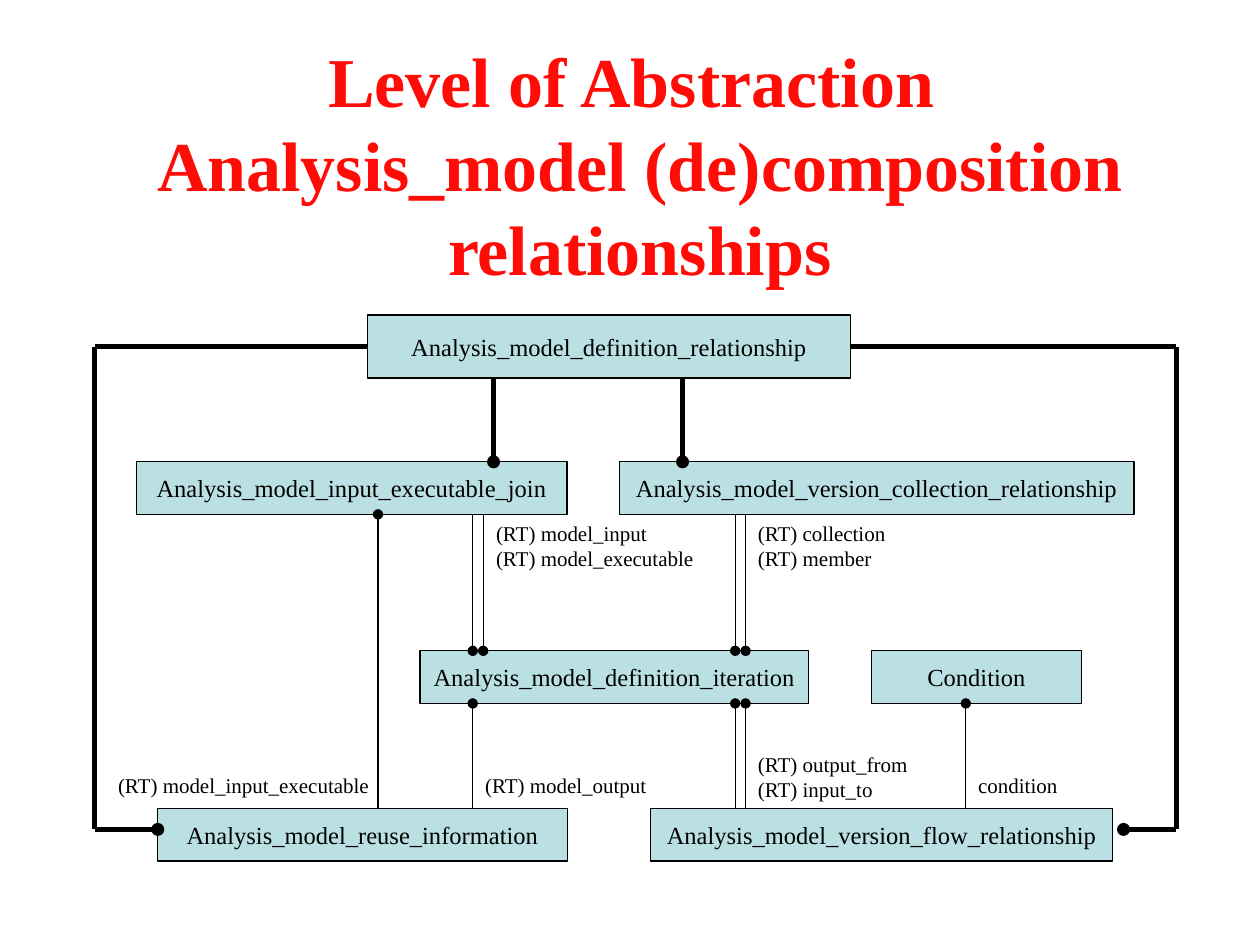
import pptx
import pptx.util
import pptx.dml.color
import pptx.enum.shapes
import pptx.enum.text
from pptx.oxml.ns import qn
from pptx.util import Cm

COLORS = {"title": "FF0C06", "box": "BBE0E3", "ink": "000000"}
FONT = "Times New Roman"
ALIGN = pptx.enum.text.PP_ALIGN
ANCHOR = pptx.enum.text.MSO_ANCHOR
FIT = pptx.enum.text.MSO_AUTO_SIZE


def color(name):
    return pptx.dml.color.RGBColor.from_string(COLORS[name])


def write(shape, text, size, ink, alignment, anchor, fit, bold=False):
    frame = shape.text_frame
    frame.text = text
    frame.word_wrap = False
    frame.auto_size = fit
    frame.vertical_anchor = anchor
    for paragraph in frame.paragraphs:
        paragraph.alignment = alignment
        for run in paragraph.runs:
            run.font.name = FONT
            run.font.size = pptx.util.Pt(size)
            run.font.bold = bold
            run.font.color.rgb = color(ink)


presentation = pptx.Presentation()
presentation.slide_width = Cm(25.4)
presentation.slide_height = Cm(19.05)
slide = presentation.slides.add_slide(presentation.slide_layouts[5])

# Title, wide enough for its longest line
title = slide.shapes.title
title.left, title.top, title.width, title.height = Cm(2.4), Cm(0.62), Cm(21), Cm(5.33)
write(title, "Level of Abstraction \nAnalysis_model (de)composition\nrelationships",
      40, "title", ALIGN.CENTER, ANCHOR.TOP, FIT.NONE, bold=True)

# Rows of the diagram: top and bottom edges of the boxes
ROOT_TOP, ROOT_BOTTOM = 6.35, 7.62
JOIN_TOP, JOIN_BOTTOM = 9.31, 10.37
STEP_TOP, STEP_BOTTOM = 13.12, 14.18
BASE_TOP, BASE_BOTTOM = 16.3, 17.36

# Entity boxes: name, left, width, top, bottom
boxes = [
    ("Analysis_model_definition_relationship", 7.41, 9.74, ROOT_TOP, ROOT_BOTTOM),
    ("Analysis_model_input_executable_join", 2.75, 8.68, JOIN_TOP, JOIN_BOTTOM),
    ("Analysis_model_version_collection_relationship", 12.49, 10.37, JOIN_TOP, JOIN_BOTTOM),
    ("Analysis_model_definition_iteration", 8.47, 7.83, STEP_TOP, STEP_BOTTOM),
    ("Condition", 17.57, 4.23, STEP_TOP, STEP_BOTTOM),
    ("Analysis_model_reuse_information", 3.18, 8.26, BASE_TOP, BASE_BOTTOM),
    ("Analysis_model_version_flow_relationship", 13.12, 9.31, BASE_TOP, BASE_BOTTOM),
]
for name, left, width, top, bottom in boxes:
    box = slide.shapes.add_shape(pptx.enum.shapes.MSO_SHAPE.RECTANGLE,
                                 Cm(left), Cm(top), Cm(width), Cm(bottom - top))
    box.shadow.inherit = False
    box.fill.solid()
    box.fill.fore_color.rgb = color("box")
    box.line.color.rgb = color("ink")
    box.line.width = pptx.util.Pt(0.75)
    write(box, name, 14, "ink", ALIGN.CENTER, ANCHOR.MIDDLE, FIT.NONE)

# Relations: start x, start y, end x, end y, line width, dot at the end
THIN, MEDIUM, THICK = 0.75, 2.5, 3
LEFT_RAIL, RIGHT_RAIL, RAIL_TOP, RAIL_BOTTOM = 1.91, 23.71, 6.99, 16.72
relations = [
    (LEFT_RAIL, RAIL_BOTTOM, 3.18, RAIL_BOTTOM, MEDIUM, True),
    (RIGHT_RAIL, RAIL_BOTTOM, 22.65, RAIL_BOTTOM, MEDIUM, True),
    (7.41, RAIL_TOP, LEFT_RAIL, RAIL_TOP, THICK, False),
    (RIGHT_RAIL, RAIL_TOP, 17.15, RAIL_TOP, THICK, False),
    (7.62, BASE_TOP, 7.62, JOIN_BOTTOM, THIN, True),
]
for x in (LEFT_RAIL, RIGHT_RAIL):
    relations.append((x, RAIL_BOTTOM, x, RAIL_TOP, THICK, False))
for x in (9.95, 13.76):
    relations.append((x, ROOT_BOTTOM, x, JOIN_TOP, MEDIUM, True))
for x in (9.53, 9.74, 14.82, 15.03):
    relations.append((x, JOIN_BOTTOM, x, STEP_TOP, THIN, True))
for x in (9.53, 14.82, 15.03, 19.47):
    relations.append((x, BASE_TOP, x, STEP_BOTTOM, THIN, True))

for start_x, start_y, end_x, end_y, width, dotted in relations:
    connector = slide.shapes.add_connector(pptx.enum.shapes.MSO_CONNECTOR.STRAIGHT,
                                           Cm(start_x), Cm(start_y), Cm(end_x), Cm(end_y))
    connector.line.color.rgb = color("ink")
    connector.line.width = pptx.util.Pt(width)
    properties = connector._element.spPr
    if dotted:
        outline = properties.find(qn("a:ln"))
        outline.append(outline.makeelement(qn("a:tailEnd"), {"type": "oval"}))
    properties.append(properties.makeelement(qn("a:effectLst"), {}))

# Relation labels: text, left, top, width, height
labels = [
    ("(RT) model_input\n(RT) model_executable", 9.75, JOIN_BOTTOM, 4.52, 1.27),
    ("(RT) collection\n(RT) member", 15.03, JOIN_BOTTOM, 3.1, 1.27),
    ("(RT) output_from\n(RT) input_to", 15.03, 15.03, 3.56, 1.27),
    ("(RT) model_input_executable", 2.13, 15.45, 5.59, 0.76),
    ("(RT) model_output", 9.53, 15.45, 3.78, 0.76),
    ("condition", 19.47, 15.45, 2.11, 0.76),
]
for text, left, top, width, height in labels:
    label = slide.shapes.add_textbox(Cm(left), Cm(top), Cm(width), Cm(height))
    write(label, text, 12, "ink", ALIGN.LEFT, ANCHOR.TOP, FIT.SHAPE_TO_FIT_TEXT)

presentation.save("out.pptx")
